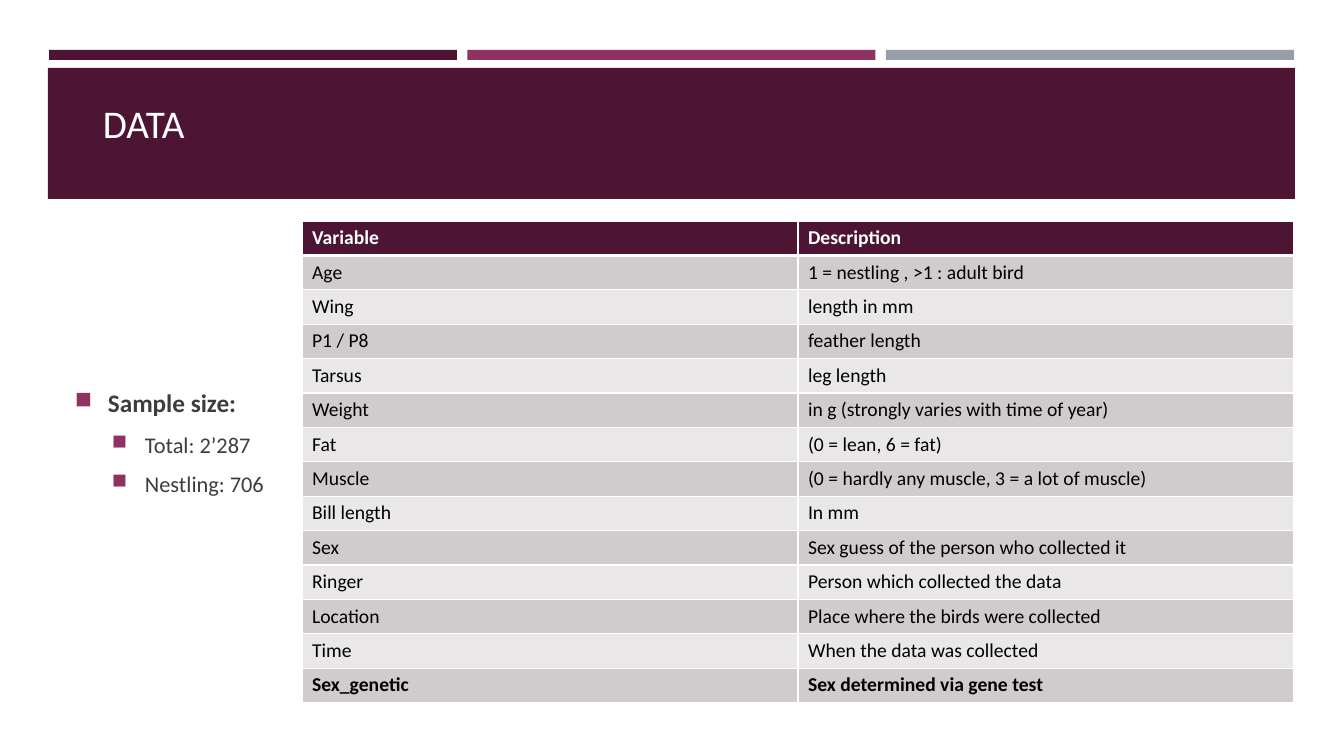
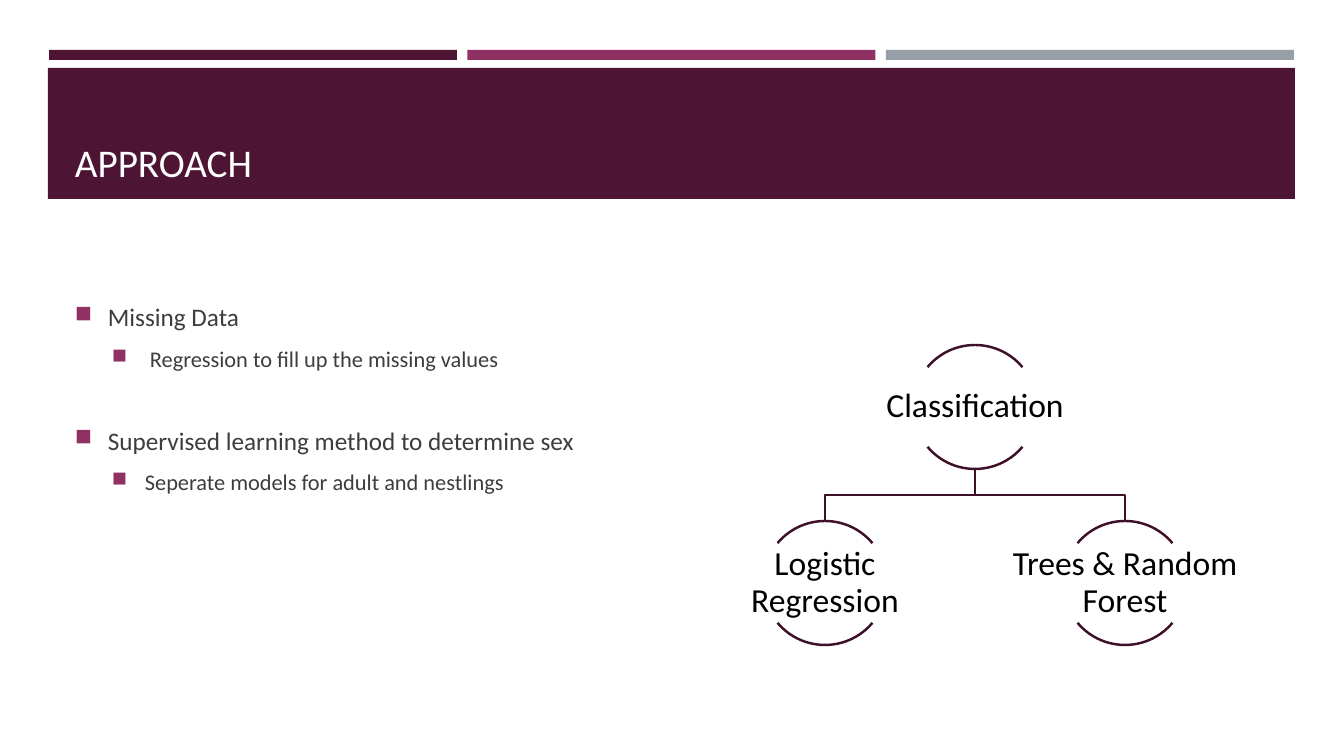
import pptx
import pptx.dml.color
import pptx.enum.shapes
import pptx.enum.text
import pptx.util
from lxml import etree
from pptx.oxml.ns import qn

RGBColor = pptx.dml.color.RGBColor
Pt = pptx.util.Pt
MSO_SHAPE = pptx.enum.shapes.MSO_SHAPE
PP_ALIGN = pptx.enum.text.PP_ALIGN
MSO_ANCHOR = pptx.enum.text.MSO_ANCHOR

PLUM = RGBColor(0x4D, 0x14, 0x34)
MAGENTA = RGBColor(0x90, 0x31, 0x63)
GREY = RGBColor(0x96, 0x9F, 0xA7)
DARK_PLUM = RGBColor(0x3E, 0x10, 0x2A)
TEXT_GREY = RGBColor(0x3D, 0x3D, 0x3D)
ROW_DARK = RGBColor(0xD0, 0xCC, 0xCE)
ROW_LIGHT = RGBColor(0xE9, 0xE7, 0xE8)
WHITE = RGBColor(0xFF, 0xFF, 0xFF)
BLACK = RGBColor(0, 0, 0)

FONT = "Calibri"
SLIDE_SIZE = (1344, 756)
BAR_COLORS = (PLUM, MAGENTA, GREY)
BAR_LEFT, BAR_TOP, BAR_WIDTH, BAR_HEIGHT, BAR_SPAN = 49, 50, 408, 10, 1245
BAND_BOX = (48, 68, 1247, 131)

DATA_TITLE = ("DATA", (93, 5, 1159, 146))
APPROACH_TITLE = ("APPROACH", (65, 78, 1216, 112))

VARIABLES = [
    ("Variable", "Description"),
    ("Age", "1 = nestling , >1 : adult bird"),
    ("Wing", "length in mm"),
    ("P1 / P8", "feather length"),
    ("Tarsus", "leg length"),
    ("Weight", "in g (strongly varies with time of year)"),
    ("Fat", "(0 = lean, 6 = fat)"),
    ("Muscle", "(0 = hardly any muscle, 3 = a lot of muscle)"),
    ("Bill length", "In mm"),
    ("Sex", "Sex guess of the person who collected it"),
    ("Ringer", "Person which collected the data"),
    ("Location", "Place where the birds were collected"),
    ("Time", "When the data was collected"),
    ("Sex_genetic", "Sex determined via gene test"),
]
TABLE_BOX = (302, 221, 992, 482)

SAMPLE_BOX = (65, 240, 1216, 405)
SAMPLE_BULLETS = [
    (0, "Sample size:", {"bold": True}, {}),
    (1, "Total: 2’287", {}, {}),
    (1, "Nestling: 706", {}, {}),
]
METHOD_BOX = (65, 240, 1216, 317)
METHOD_BULLETS = [
    (0, "Missing Data", {}, {}),
    (1, " Regression to fill up the missing values", {}, {}),
    (0, "Supervised learning method to determine sex", {}, {"space_before": Pt(32.3)}),
    (1, "Seperate models for adult and nestlings", {}, {}),
]
BULLET_LEVELS = [
    {"size": 18, "margin": 33, "space_before": Pt(3.6)},
    {"size": 16, "margin": 70, "space_before": Pt(3.2)},
]
BULLET_HANG = 33

ROOT = ("Classification", 975, 345)
BRANCHES = [("Logistic Regression", 825, 521), ("Trees & Random Forest", 1125, 521)]
DIAMETER = 124
LABEL_OFFSET, LABEL_HEIGHT, LABEL_INSET = 22, 80, 2
ARC_DEGREES = [(220, 320), (40, 140)]


def px(length):
    return round(length * 914400 / 100.8)


def box_emu(box):
    return [px(length) for length in box]


def set_values(target, values):
    for name, value in values.items():
        setattr(target, name, value)


def write(paragraph, text, size, color, **formats):
    run = paragraph.add_run()
    run.text = text
    set_values(run.font, {"name": FONT, "size": Pt(size), **formats})
    run.font.color.rgb = color


def add_text_frame(shapes, box, anchor, **formats):
    text_frame = shapes.add_textbox(*box_emu(box)).text_frame
    set_values(text_frame, {"word_wrap": True, "vertical_anchor": anchor, **formats})
    return text_frame


def add_rectangle(slide, box, color):
    shape = slide.shapes.add_shape(MSO_SHAPE.RECTANGLE, *box_emu(box))
    shape.shadow.inherit = False
    shape.fill.solid()
    shape.fill.fore_color.rgb = color
    shape.line.fill.background()


def style_outline(shape):
    shape.shadow.inherit = False
    shape.fill.background()
    shape.line.color.rgb = DARK_PLUM
    shape.line.width = Pt(1.75)


def add_titled_slide(presentation, title, box):
    slide = presentation.slides.add_slide(presentation.slide_layouts[6])
    step = (BAR_SPAN - BAR_WIDTH) / (len(BAR_COLORS) - 1)
    for index, color in enumerate(BAR_COLORS):
        add_rectangle(slide, (BAR_LEFT + index * step, BAR_TOP, BAR_WIDTH, BAR_HEIGHT), color)
    add_rectangle(slide, BAND_BOX, PLUM)
    text_frame = add_text_frame(slide.shapes, box, MSO_ANCHOR.BOTTOM)
    write(text_frame.paragraphs[0], title, 28, WHITE)
    return slide


def add_bullets(slide, box, bullets):
    text_frame = add_text_frame(slide.shapes, box, MSO_ANCHOR.MIDDLE)
    for index, (level, text, font_formats, spacing) in enumerate(bullets):
        style = BULLET_LEVELS[level]
        paragraph = text_frame.add_paragraph() if index else text_frame.paragraphs[0]
        set_values(paragraph, {"level": level, "space_before": style["space_before"],
                               "space_after": Pt(6), **spacing})
        properties = paragraph._p.get_or_add_pPr()
        properties.set("marL", str(px(style["margin"])))
        properties.set("indent", str(-px(BULLET_HANG)))
        color = etree.SubElement(properties, qn("a:buClr"))
        etree.SubElement(color, qn("a:srgbClr"), val=str(MAGENTA))
        etree.SubElement(properties, qn("a:buSzPct"), val="92000")
        etree.SubElement(properties, qn("a:buChar"), char="■")
        write(paragraph, text, style["size"], TEXT_GREY, **font_formats)


def add_borders(cell, widths):
    properties = cell._tc.get_or_add_tcPr()
    for side, width in widths.items():
        line = etree.SubElement(properties, qn(f"a:ln{side}"), w=str(Pt(width)))
        fill = etree.SubElement(line, qn("a:solidFill"))
        etree.SubElement(fill, qn("a:srgbClr"), val=str(WHITE))


def add_variable_table(slide):
    row_count, column_count = len(VARIABLES), len(VARIABLES[0])
    frame = slide.shapes.add_table(row_count, column_count, *box_emu(TABLE_BOX))
    table = frame.table
    table.horz_banding = False
    for row in table.rows:
        row.height = px(TABLE_BOX[3] / row_count)
    for row_index, texts in enumerate(VARIABLES):
        is_header = row_index == 0
        fill = PLUM if is_header else (ROW_LIGHT, ROW_DARK)[row_index % 2]
        for column_index, text in enumerate(texts):
            cell = table.cell(row_index, column_index)
            add_borders(cell, {"L": 1, "R": 1, "T": 3 if row_index == 1 else 1,
                               "B": 3 if is_header else 1})
            cell.fill.solid()
            cell.fill.fore_color.rgb = fill
            write(cell.text_frame.paragraphs[0], text, 14, WHITE if is_header else BLACK,
                  bold=row_index in (0, row_count - 1))


def add_branch(shapes, center, top):
    root_center, root_bottom = ROOT[1], ROOT[2] + DIAMETER
    middle = (root_bottom + top) / 2
    points = [(root_center, root_bottom), (root_center, middle), (center, middle), (center, top)]
    start, *others = [box_emu(point) for point in points]
    builder = shapes.build_freeform(*start)
    builder.add_line_segments(others, close=False)
    style_outline(builder.convert_to_shape())


def add_node(shapes, text, center, top):
    for angles in ARC_DEGREES:
        box = (center - DIAMETER / 2, top, DIAMETER, DIAMETER)
        arc = shapes.add_shape(MSO_SHAPE.ARC, *box_emu(box))
        for index, degrees in enumerate(angles):
            arc.adjustments[index] = degrees * 0.6
        style_outline(arc)
    sides = ("left", "top", "right", "bottom")
    insets = {f"margin_{side}": px(LABEL_INSET) for side in sides}
    label_box = (center - DIAMETER, top + LABEL_OFFSET, 2 * DIAMETER, LABEL_HEIGHT)
    text_frame = add_text_frame(shapes, label_box, MSO_ANCHOR.MIDDLE, **insets)
    paragraph = text_frame.paragraphs[0]
    set_values(paragraph, {"alignment": PP_ALIGN.CENTER, "line_spacing": 0.9})
    write(paragraph, text, 24, BLACK)


def add_classification_tree(slide):
    shapes = slide.shapes.add_group_shape().shapes
    for _, center, top in reversed(BRANCHES):
        add_branch(shapes, center, top)
    for node in [ROOT, *BRANCHES]:
        add_node(shapes, *node)


def main():
    presentation = pptx.Presentation()
    presentation.slide_width, presentation.slide_height = box_emu(SLIDE_SIZE)

    data_slide = add_titled_slide(presentation, *DATA_TITLE)
    add_variable_table(data_slide)
    add_bullets(data_slide, SAMPLE_BOX, SAMPLE_BULLETS)

    approach_slide = add_titled_slide(presentation, *APPROACH_TITLE)
    add_bullets(approach_slide, METHOD_BOX, METHOD_BULLETS)
    add_classification_tree(approach_slide)

    presentation.save("out.pptx")


if __name__ == "__main__":
    main()
